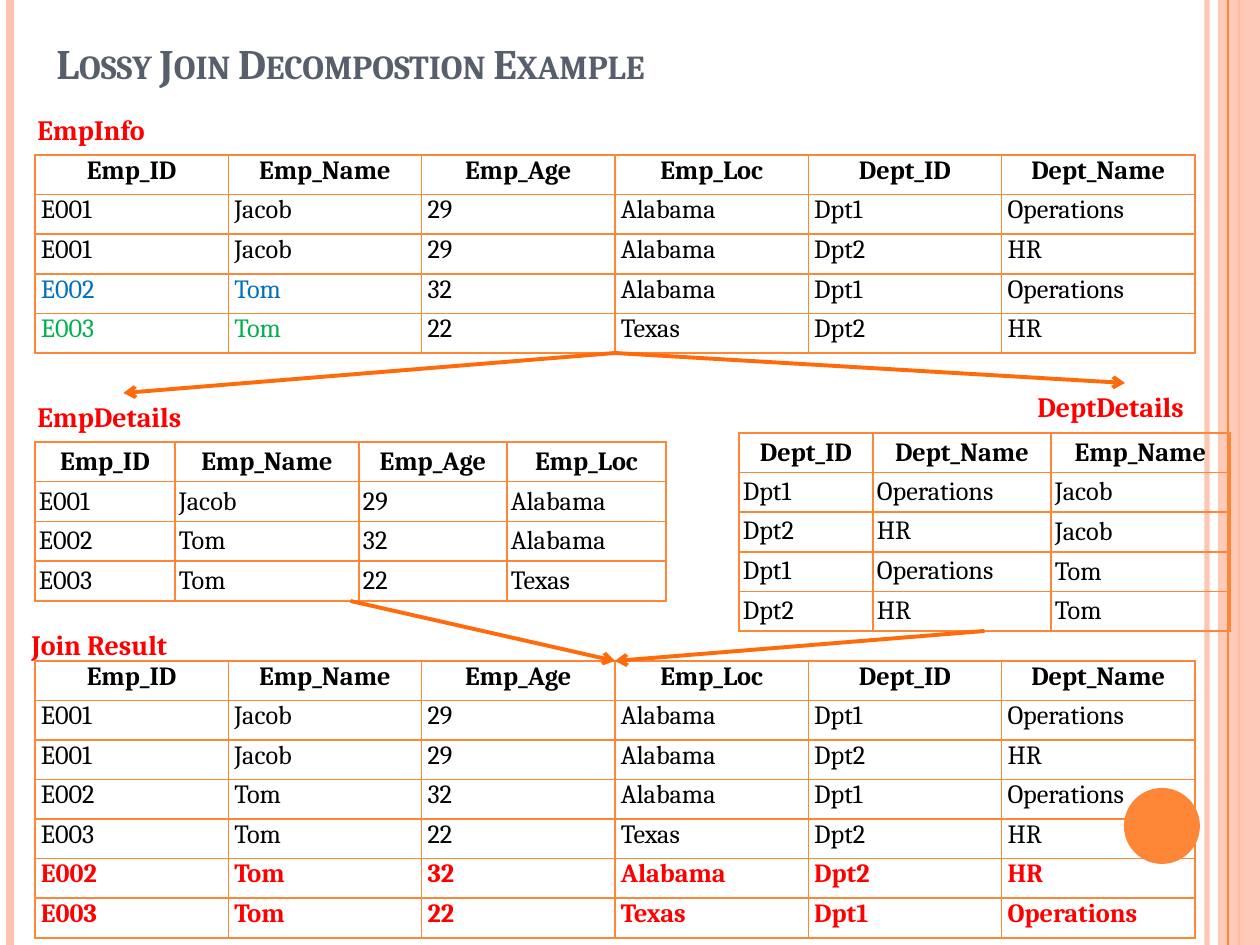
from dataclasses import dataclass
from typing import Any

from lxml.etree import SubElement as Sub
from pptx import Presentation as Deck
from pptx.dml.color import RGBColor as Color
from pptx.enum.shapes import MSO_CONNECTOR as Link, MSO_SHAPE as Form
from pptx.enum.text import MSO_ANCHOR as Anchor, MSO_AUTO_SIZE as Auto, PP_ALIGN as Align
from pptx.oxml.ns import qn
from pptx.util import Pt

SCALE = 914400 / 126
WIDE, HIGH = 1260, 945
FACE = "Cambria"
HUES = {
    "edge": "FE8637", "pale": "FEC3AE", "arrow": "FF6B0A", "title": "575F6D",
    "black": "000000", "red": "FF0000", "blue": "0070C0", "green": "00B050",
}
TOP, BOTTOM = 0, 2  # connection sites


@dataclass
class Stripe:
    x: int
    hue: str
    width: float
    alpha: int = 100


@dataclass
class Label:
    text: str
    x: int
    y: int
    w: int


@dataclass
class Mark:
    """Colour for the first cells of a row."""
    hue: str
    count: int
    bold: bool = False


@dataclass
class Grid:
    x: int
    y: int
    w: int
    h: int
    rows: list[str]
    pads: tuple[int, int]  # side and top margins
    marks: dict[int, Mark]
    cols: tuple[int, ...] = ()  # equal columns when empty
    space: float | None = None
    high: int = 0  # leading columns whose body text sits at the top


def px(n: float) -> int:
    return round(n * SCALE)


def rgb(hue: str) -> Color:
    return Color.from_string(HUES[hue])


def put(item: Any, vals: dict[str, Any]) -> None:
    for key, val in vals.items():
        setattr(item, key, val)


def write(para: Any, text: str, hue: str, size: int, bold: bool) -> Any:
    run = para.add_run()
    run.text = text
    put(run.font, {"name": FACE, "size": Pt(size), "bold": bold})
    run.font.color.rgb = rgb(hue)
    return run


def fade(part: Any, alpha: int) -> None:
    if alpha < 100:
        tint = next(part.iter(qn("a:srgbClr")))
        Sub(tint, qn("a:alpha")).set("val", str(alpha * 1000))


def add_line(page: Any, ends: tuple[int, int, int, int], hue: str, width: float) -> Any:
    line = page.add_connector(Link.STRAIGHT, *map(px, ends))
    line.line.color.rgb = rgb(hue)
    line.line.width = Pt(width)
    Sub(line._element.spPr, qn("a:effectLst"))
    return line


def add_stripe(page: Any, bar: Stripe) -> None:
    line = add_line(page, (bar.x, 0, bar.x, HIGH), bar.hue, bar.width)
    fade(line._element.spPr, bar.alpha)


def add_form(page: Any, form: Form, box: tuple[int, int, int, int], hue: str, alpha: int = 100) -> None:
    shape = page.add_shape(form, *map(px, box))
    shape.shadow.inherit = False
    shape.fill.solid()
    shape.fill.fore_color.rgb = rgb(hue)
    shape.line.fill.background()
    fade(shape._element.spPr, alpha)


def add_title(page: Any, text: str) -> None:
    box = page.add_textbox(*map(px, (44, -63, 1029, 157)))
    put(box.text_frame, {"word_wrap": True, "vertical_anchor": Anchor.BOTTOM})
    run = write(box.text_frame.paragraphs[0], text, "title", 24, True)
    run.font._element.set("cap", "small")


def add_label(page: Any, tag: Label) -> Any:
    box = page.add_textbox(*map(px, (tag.x, tag.y, tag.w, 47)))
    put(box.text_frame, {"word_wrap": False, "auto_size": Auto.SHAPE_TO_FIT_TEXT})
    write(box.text_frame.paragraphs[0], tag.text, "red", 16, True)
    return box


def add_edge(cell: Any) -> None:
    props = cell._tc.get_or_add_tcPr()
    for spot, side in enumerate(("lnL", "lnR", "lnT", "lnB")):
        line = props.makeelement(qn(f"a:{side}"), {"w": str(Pt(1))})
        fill = Sub(line, qn("a:solidFill"))
        Sub(fill, qn("a:srgbClr")).set("val", HUES["edge"])
        props.insert(spot, line)


def add_grid(page: Any, grid: Grid) -> Any:
    data = [row.split() for row in grid.rows]
    frame = page.add_table(len(data), len(data[0]), *map(px, (grid.x, grid.y, grid.w, grid.h)))
    table = frame.table
    put(table, {"first_row": False, "horz_banding": False})
    for col, wide in zip(table.columns, grid.cols):
        col.width = px(wide)
    side, top = map(px, grid.pads)
    for r, row in enumerate(data):
        mark = grid.marks.get(r, Mark("black", 0))
        for c, text in enumerate(row):
            cell = table.cell(r, c)
            raised = r > 0 and c < grid.high
            put(cell, {
                "margin_left": side, "margin_right": side,
                "margin_top": top, "margin_bottom": top,
                "vertical_anchor": Anchor.TOP if raised else Anchor.MIDDLE,
            })
            cell.fill.background()
            add_edge(cell)
            para = cell.text_frame.paragraphs[0]
            put(para, {"alignment": Align.LEFT if r else Align.CENTER, "line_spacing": grid.space})
            lit = c < mark.count
            write(para, text, mark.hue if lit else "black", 15, r == 0 or (lit and mark.bold))
    return frame


def add_arrow(page: Any, start: Any, end: Any, site: int = TOP) -> None:
    line = add_line(page, (0, 0, 0, 0), "arrow", 2.25)
    line.begin_connect(start, BOTTOM)
    line.end_connect(end, site)
    Sub(line.line._get_or_add_ln(), qn("a:tailEnd")).set("type", "arrow")


# Table contents
INFO = [
    "Emp_ID Emp_Name Emp_Age Emp_Loc Dept_ID Dept_Name",
    "E001 Jacob 29 Alabama Dpt1 Operations",
    "E001 Jacob 29 Alabama Dpt2 HR",
    "E002 Tom 32 Alabama Dpt1 Operations",
    "E003 Tom 22 Texas Dpt2 HR",
]
EXTRA = ["E002 Tom 32 Alabama Dpt2 HR", "E003 Tom 22 Texas Dpt1 Operations"]
STAFF = ["Emp_ID Emp_Name Emp_Age Emp_Loc", "E001 Jacob 29 Alabama",
         "E002 Tom 32 Alabama", "E003 Tom 22 Texas"]
DEPTS = ["Dept_ID Dept_Name Emp_Name", "Dpt1 Operations Jacob", "Dpt2 HR Jacob",
         "Dpt1 Operations Tom", "Dpt2 HR Tom"]


def main() -> None:
    deck = Deck()
    put(deck, {"slide_width": px(WIDE), "slide_height": px(HIGH)})
    page = deck.slides.add_slide(deck.slide_layouts[6]).shapes

    # Side stripes and disc
    for bar in (Stripe(1207, "pale", 3, 93), Stripe(10, "pale", 4.5), Stripe(1239, "edge", 1.5)):
        add_stripe(page, bar)
    add_form(page, Form.RECTANGLE, (1218, 0, 42, HIGH), "pale", 87)
    add_stripe(page, Stripe(1228, "edge", 0.75))
    add_form(page, Form.OVAL, (1124, 788, 76, 76), "edge")

    # Title and tables
    add_title(page, "Lossy Join Decompostion Example")
    red = Mark("red", 6, True)
    info = add_grid(page, Grid(35, 155, 1160, 198, INFO, (6, 0),
                               {3: Mark("blue", 2), 4: Mark("green", 2)}, space=0.5))
    staff = add_grid(page, Grid(35, 442, 631, 159, STAFF, (4, 4), {}, (140, 184, 148, 159)))
    depts = add_grid(page, Grid(739, 433, 491, 198, DEPTS, (4, 4), {}, (134, 178, 179), high=2))
    join = add_grid(page, Grid(35, 661, 1160, 277, INFO + EXTRA, (6, 0), {5: red, 6: red}, space=0.5))

    # Table labels
    tags = (Label("EmpInfo", 25, 106, 154), Label("Join Result", 19, 621, 194),
            Label("EmpDetails", 25, 393, 197), Label("DeptDetails", 1025, 383, 200))
    _, _, left, right = [add_label(page, tag) for tag in tags]

    # Split and join arrows
    for start, end in ((info, left), (info, right), (staff, join), (depts, join)):
        add_arrow(page, start, end)

    deck.save("out.pptx")


if __name__ == "__main__":
    main()
